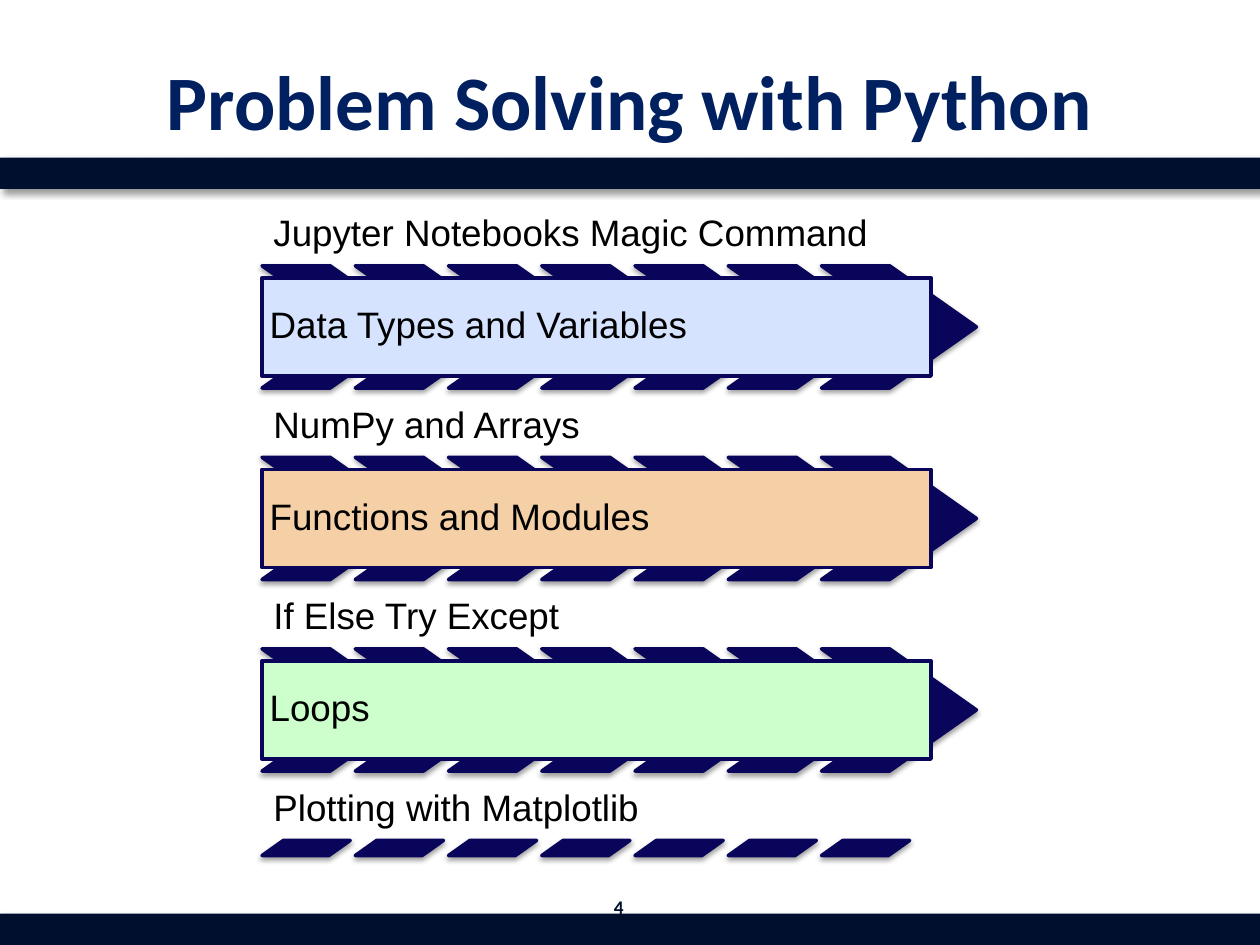
"""Build a slide that lists the topics of a Python course as banded arrows."""
from lxml import etree
from pptx import Presentation
from pptx.dml.color import RGBColor
from pptx.enum.shapes import MSO_SHAPE
from pptx.enum.text import MSO_ANCHOR, MSO_AUTO_SIZE, PP_ALIGN
from pptx.oxml.ns import qn
from pptx.util import Inches, Pt

RECT, ARROW, SLANT = MSO_SHAPE.RECTANGLE, MSO_SHAPE.CHEVRON, MSO_SHAPE.PARALLELOGRAM
TOP, MID, LOW = MSO_ANCHOR.TOP, MSO_ANCHOR.MIDDLE, MSO_ANCHOR.BOTTOM
LEFT, MIDST = PP_ALIGN.LEFT, PP_ALIGN.CENTER
HUES = {"bar": "000F2E", "title": "002060", "arrow": "09055B", "text": "000000",
        "blue": "D5E3FF", "orange": "F5CFA5", "green": "CCFFCC"}
BAR_SHADE = (40, 4, 3, 45)
ARROW_SHADE = (38, 3.1, 1.6, 90)
EDGE, START = 2.08, 1.63
COL, ROW, COUNT = 0.74, 1.52, 7
HEAD, BAND = 0.48, 0.78


def draw(kind, box, fill, line=None, shade=None):
    shape = slide.shapes.add_shape(kind, *map(Inches, box))
    shape.fill.solid()
    shape.fill.fore_color.rgb = RGBColor.from_string(HUES[fill])
    if line:
        shape.line.color.rgb = RGBColor.from_string(HUES[line])
        shape.line.width = Pt(2)
    else:
        shape.line.fill.background()
    shape.shadow.inherit = False
    if shade:
        alpha, blur, dist, turn = shade
        effects = shape._element.spPr.find(qn("a:effectLst"))
        cast = etree.SubElement(effects, qn("a:outerShdw"), blurRad=str(Pt(blur)),
                                dist=str(Pt(dist)), dir=str(turn * 60000), rotWithShape="0")
        tint = etree.SubElement(cast, qn("a:srgbClr"), val="000000")
        etree.SubElement(tint, qn("a:alpha"), val=str(alpha * 1000))
    return shape


def write(shape, text, size, face, hue, bold, align, anchor, pads):
    frame = shape.text_frame
    frame.text = text
    frame.word_wrap = True
    frame.auto_size = MSO_AUTO_SIZE.NONE
    frame.vertical_anchor = anchor
    frame.margin_left = frame.margin_right = Inches(pads[0])
    frame.margin_top = frame.margin_bottom = Inches(pads[1])
    line = frame.paragraphs[0]
    line.alignment = align
    if face == "Arial":
        line.line_spacing = 0.9
    font = line.runs[0].font
    font.size, font.name, font.bold = Pt(size), face, bold
    font.color.rgb = RGBColor.from_string(HUES[hue])


deck = Presentation()
deck.slide_width, deck.slide_height = Inches(10), Inches(7.5)
slide = deck.slides.add_slide(deck.slide_layouts[5])

for top in (7.25, 1.25):
    draw(RECT, (0, top, 10, 0.25), "bar", shade=BAR_SHADE)

title = slide.shapes.title
title.left, title.top, title.width, title.height = map(Inches, (0.5, 0.17, 9, 1.25))
write(title, "Problem Solving with Python", 44, "Calibri", "title", True,
      MIDST, MID, (0.1, 0.05))
number = slide.shapes.add_textbox(*map(Inches, (4.7, 7, 0.42, 0.4)))
write(number, "4", 11, "Calibri", "bar", True, MIDST, MID, (0.1, 0.05))

topics = [
    ("Jupyter Notebooks Magic Command", "Data Types and Variables", "blue"),
    ("NumPy and Arrays", "Functions and Modules", "orange"),
    ("If Else Try Except", "Loops", "green"),
    ("Plotting with Matplotlib", None, None),
]
for row, (head, band, hue) in enumerate(topics):
    top = START + row * ROW
    label = slide.shapes.add_textbox(*map(Inches, (EDGE, top, 5.25, HEAD)))
    write(label, head, 21, "Arial", "text", False, LEFT, LOW, (0.09, 0.09))
    kind, wide, high, bend = (ARROW, 1.23, 0.97, 0.71) if band else (SLANT, 0.7, 0.12, 1.41)
    for col in range(COUNT):
        box = (EDGE + col * COL, top + HEAD, wide, high)
        mark = draw(kind, box, "arrow", "arrow", ARROW_SHADE)
        mark.adjustments[0] = bend
    if band:
        box = (EDGE, top + HEAD + (high - BAND) / 2, 5.31, BAND)
        write(draw(RECT, box, hue, "arrow"), band, 21, "Arial", "text", False,
              LEFT, MID, (0.06, 0.06))

deck.save("out.pptx")
